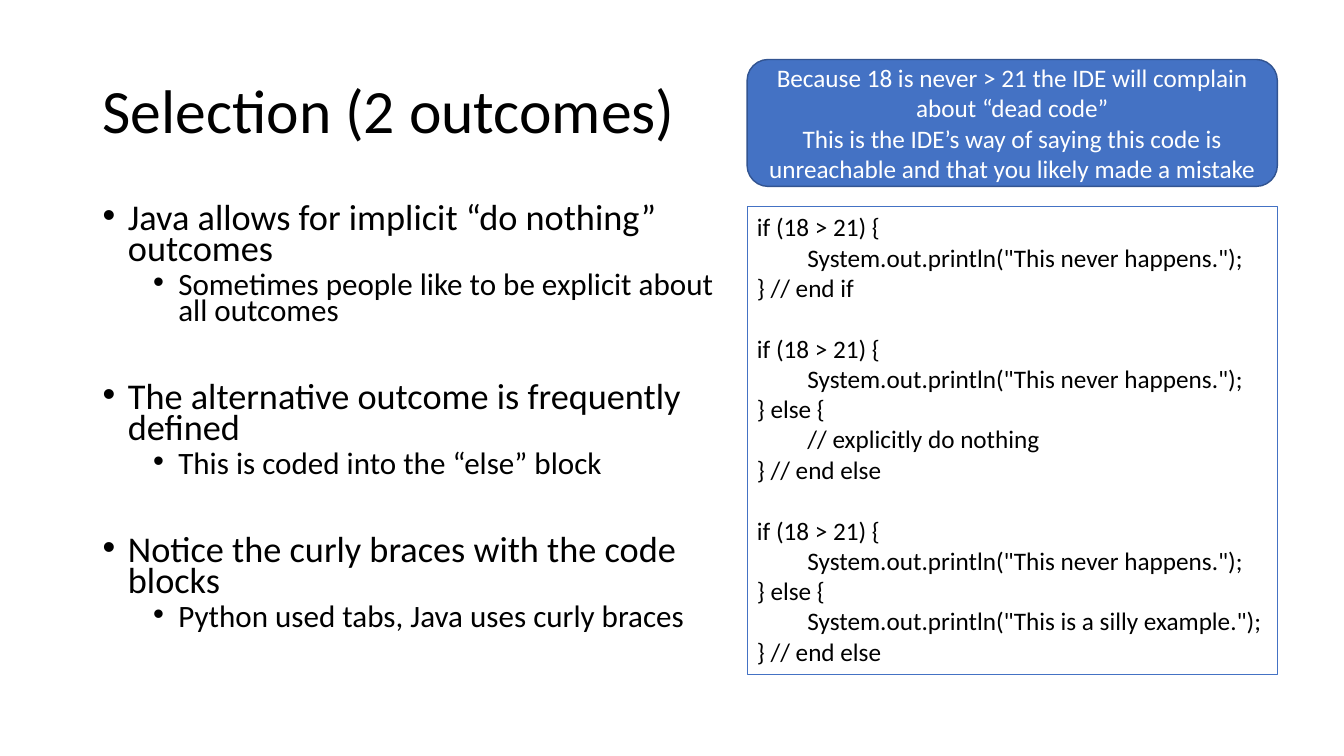
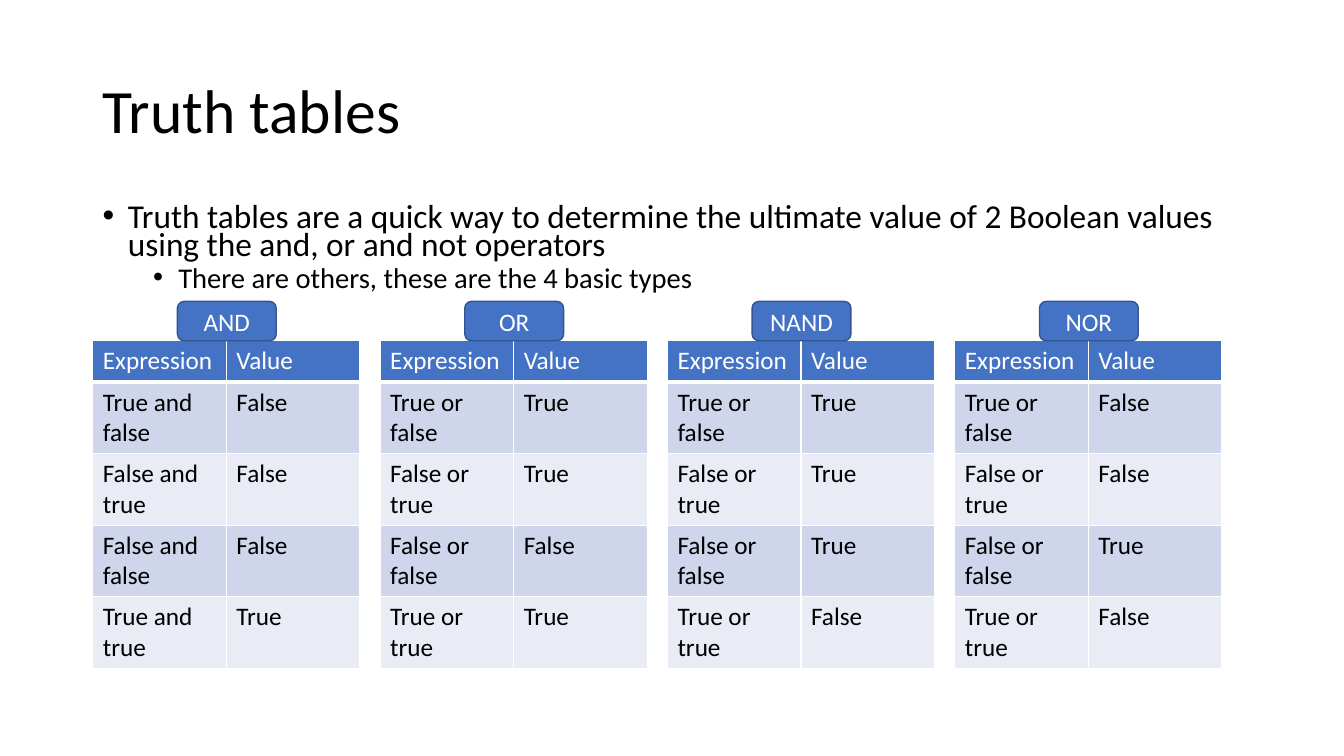
from lxml.etree import SubElement
from pptx import Presentation
from pptx.dml.color import RGBColor
from pptx.enum.shapes import MSO_SHAPE
from pptx.enum.text import MSO_ANCHOR, PP_ALIGN
from pptx.oxml.ns import qn
from pptx.util import Inches, Pt

FONT = "Calibri"
BLACK, WHITE = "000000", "FFFFFF"
BLUE, DARK_BLUE = "4472C4", "325491"
BANDS = "CFD5EA", "E9EBF5"
LEFT, CONTENT_WIDTH = 0.92, 11.5
CODE_SIZE = 18
CODE_GAP = 22

POINTS = [
    ("Java allows for implicit “do nothing” outcomes",
     "Sometimes people like to be explicit about all outcomes"),
    ("The alternative outcome is frequently defined",
     "This is coded into the “else” block"),
    ("Notice the curly braces with the code blocks",
     "Python used tabs, Java uses curly braces"),
]
TRUTH_POINTS = [
    ("Truth tables are a quick way to determine the ultimate value of 2 Boolean values "
     "using the and, or and not operators",
     "There are others, these are the 4 basic types"),
]
CONDITION = "if (18 > 21) {"
NEVER = 'System.out.println("This never happens.");'
CODE_BLOCKS = [
    [(CONDITION, 0), (NEVER, 1), ("} // end if", 0)],
    [(CONDITION, 0), (NEVER, 1), ("} else {", 0),
     ("// explicitly do nothing", 1), ("} // end else", 0)],
    [(CONDITION, 0), (NEVER, 1), ("} else {", 0),
     ('System.out.println("This is a silly example.");', 1), ("} // end else", 0)],
]
WARNING = [
    "Because 18 is never > 21 the IDE will complain about “dead code”",
    "This is the IDE’s way of saying this code is unreachable and that you likely made a mistake",
]
OPERAND_PAIRS = [("True", "false"), ("False", "true"), ("False", "false"), ("True", "true")]
TRUTH_TABLES = [
    ("AND", "and", ["False", "False", "False", "True"]),
    ("OR", "or", ["True", "True", "False", "True"]),
    ("NAND", "or", ["True", "True", "True", "False"]),
    ("NOR", "or", ["False", "False", "True", "False"]),
]


def color(value):
    """Turn a hex string into a colour."""
    return RGBColor.from_string(value)


def write(frame, text, size=CODE_SIZE, ink=BLACK, align=PP_ALIGN.LEFT, spacing=1.0,
          before=0, level=0, margin=0, hanging=0, bullet=None):
    """Add one formatted paragraph to a text frame."""
    paragraph = frame.add_paragraph() if frame.text else frame.paragraphs[0]
    paragraph.alignment = align
    paragraph.line_spacing = spacing
    paragraph.space_before = Pt(before)
    paragraph.level = level
    properties = paragraph._p.get_or_add_pPr()
    properties.set("marL", str(Inches(margin)))
    properties.set("indent", str(Inches(-hanging)))
    if bullet:
        SubElement(properties, qn("a:buFont"), typeface="Arial")
        SubElement(properties, qn("a:buChar"), char=bullet)
    run = paragraph.add_run()
    run.text = text
    run.font.name, run.font.size, run.font.bold = FONT, Pt(size), False
    run.font.color.rgb = color(ink)


def add_text_area(slide, left, top, width, height, anchor=MSO_ANCHOR.TOP):
    """Add a wrapping text box and return its frame."""
    frame = slide.shapes.add_textbox(
        Inches(left), Inches(top), Inches(width), Inches(height)).text_frame
    frame.word_wrap = True
    frame.vertical_anchor = anchor
    return frame


def add_panel(slide, kind, left, top, width, height, fill, line, weight, anchor):
    """Add a flat outlined shape and return its text frame."""
    panel = slide.shapes.add_shape(
        kind, Inches(left), Inches(top), Inches(width), Inches(height))
    panel.shadow.inherit = False
    if fill:
        panel.fill.solid()
        panel.fill.fore_color.rgb = color(fill)
    else:
        panel.fill.background()
    panel.line.color.rgb = color(line)
    panel.line.width = Pt(weight)
    panel.text_frame.word_wrap = True
    panel.text_frame.vertical_anchor = anchor
    return panel.text_frame


def add_titled_slide(presentation, title):
    """Add a blank slide with the shared title."""
    slide = presentation.slides.add_slide(presentation.slide_layouts[6])
    frame = add_text_area(slide, LEFT, 0.4, CONTENT_WIDTH, 1.45, MSO_ANCHOR.MIDDLE)
    write(frame, title, size=44, spacing=0.9)
    return slide


def add_points(slide, left, top, width, height, points, size, detail_size, gap=10):
    """Add bullet points, each with an indented detail below it."""
    frame = add_text_area(slide, left, top, width, height)
    for index, (point, detail) in enumerate(points):
        write(frame, point, size=size, spacing=0.7, before=gap if index else 10,
              margin=0.25, hanging=0.25, bullet="•")
        write(frame, detail, size=detail_size, spacing=0.7, before=5, level=1,
              margin=0.75, hanging=0.25, bullet="•")


def add_badge(slide, left, top, width, height, lines):
    """Add a blue rounded box with centred white lines."""
    frame = add_panel(slide, MSO_SHAPE.ROUNDED_RECTANGLE, left, top, width, height,
                      BLUE, DARK_BLUE, 1, MSO_ANCHOR.MIDDLE)
    for line in lines:
        write(frame, line, ink=WHITE, align=PP_ALIGN.CENTER)


def add_code(slide, left, top, width, height, blocks):
    """Add an outlined box of code blocks set apart by one line."""
    frame = add_panel(slide, MSO_SHAPE.RECTANGLE, left, top, width, height,
                      None, BLUE, 0.75, MSO_ANCHOR.TOP)
    for block_index, block in enumerate(blocks):
        for line_index, (line, level) in enumerate(block):
            opens_gap = block_index and not line_index
            write(frame, line, before=CODE_GAP if opens_gap else 0,
                  level=level, margin=0.5 * level)


def style_cell(cell, text, fill, ink, bottom):
    """Fill a table cell, rule its sides in white and write its text."""
    properties = cell._tc.get_or_add_tcPr()
    for side, weight in (("L", 1), ("R", 1), ("T", 1), ("B", bottom)):
        border = SubElement(properties, qn(f"a:ln{side}"), w=str(Pt(weight)))
        SubElement(SubElement(border, qn("a:solidFill")), qn("a:srgbClr"), val=WHITE)
    cell.fill.solid()
    cell.fill.fore_color.rgb = color(fill)
    write(cell.text_frame, text, ink=ink)


def add_truth_table(slide, left, top, name, operator, values):
    """Add a truth table with its name badge on top."""
    rows = [("Expression", "Value")]
    rows += [(f"{first} {operator} {second}", value)
             for (first, second), value in zip(OPERAND_PAIRS, values)]
    badge_height, header_height, row_height = 0.39, 0.41, 0.71
    grid = slide.shapes.add_table(
        len(rows), 2, Inches(left), Inches(top + badge_height), Inches(2.65),
        Inches(header_height + row_height * len(values))).table
    for row_index, row in enumerate(rows):
        header = row_index == 0
        grid.rows[row_index].height = Inches(header_height if header else row_height)
        fill = BLUE if header else BANDS[(row_index - 1) % 2]
        for column_index, text in enumerate(row):
            style_cell(grid.cell(row_index, column_index), text, fill,
                       WHITE if header else BLACK, 3 if header else 1)
    add_badge(slide, left + 0.84, top, 0.98, badge_height, [name])


def build_selection(presentation):
    """Build the slide on selection with two outcomes."""
    slide = add_titled_slide(presentation, "Selection (2 outcomes)")
    add_points(slide, LEFT, 2, 6.49, 4.76, POINTS, 25.9, 22.2, gap=42)
    add_code(slide, 7.41, 2.05, 5.26, 4.64, CODE_BLOCKS)
    add_badge(slide, 7.41, 0.59, 5.26, 1.26, WARNING)


def build_truth_tables(presentation):
    """Build the slide with a row of truth tables."""
    slide = add_titled_slide(presentation, "Truth tables")
    add_points(slide, LEFT, 2, CONTENT_WIDTH, 0.99, TRUTH_POINTS, 23.8, 20.4)
    for index, truth_table in enumerate(TRUTH_TABLES):
        add_truth_table(slide, LEFT + 2.85 * index, 2.99, *truth_table)


def main():
    """Build and save the presentation."""
    presentation = Presentation()
    presentation.slide_width, presentation.slide_height = Inches(13.33), Inches(7.5)
    build_selection(presentation)
    build_truth_tables(presentation)
    presentation.save("out.pptx")


if __name__ == "__main__":
    main()
